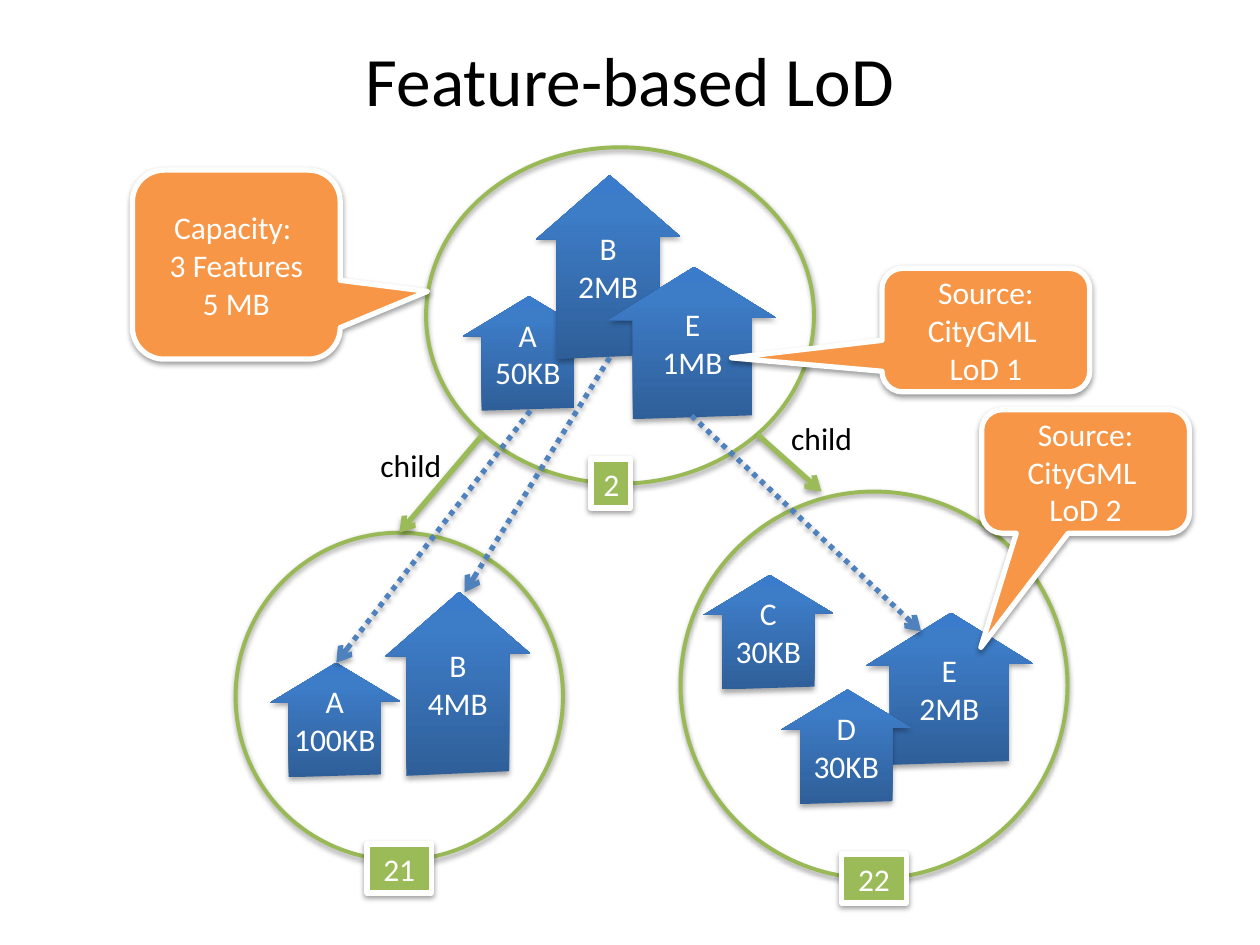
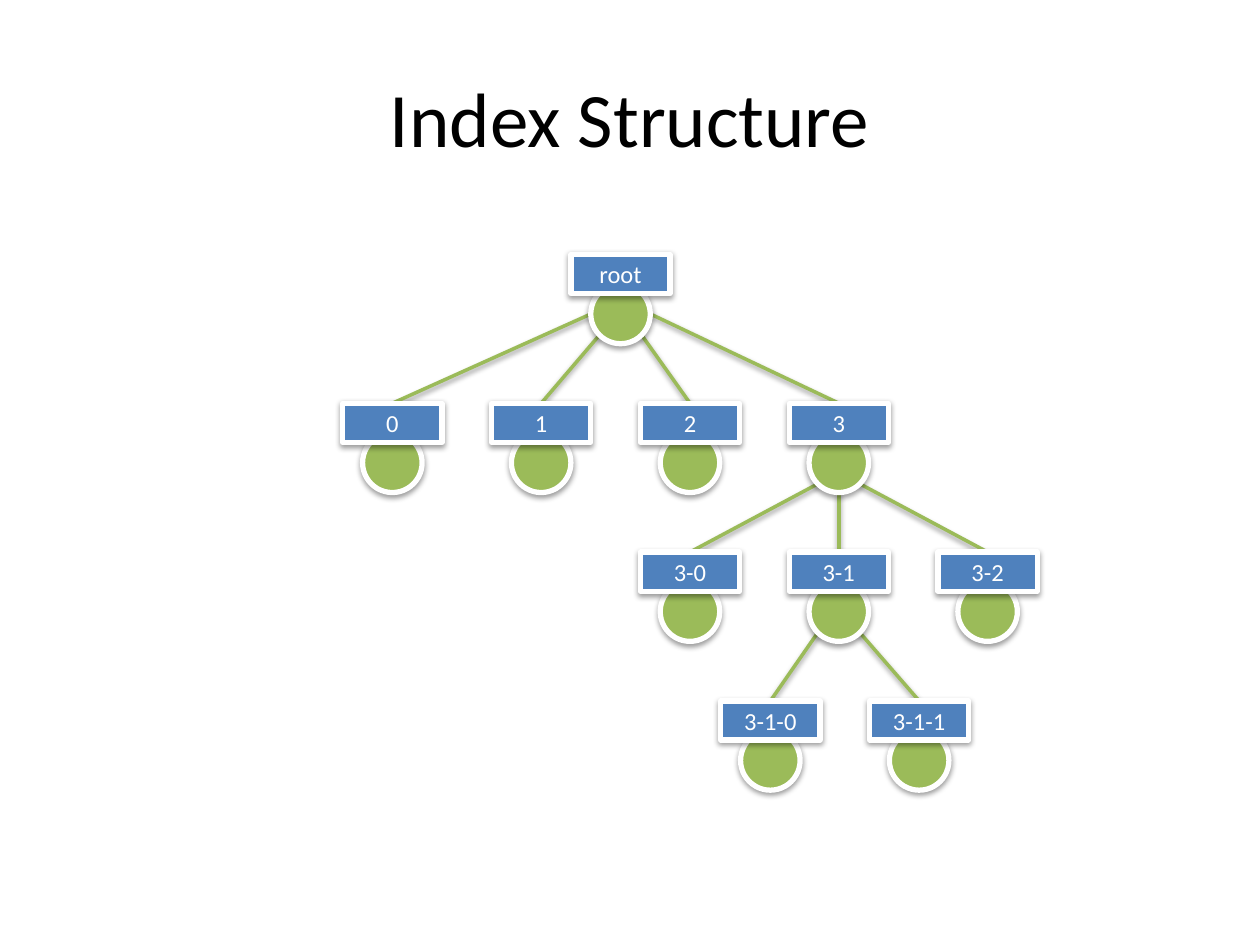
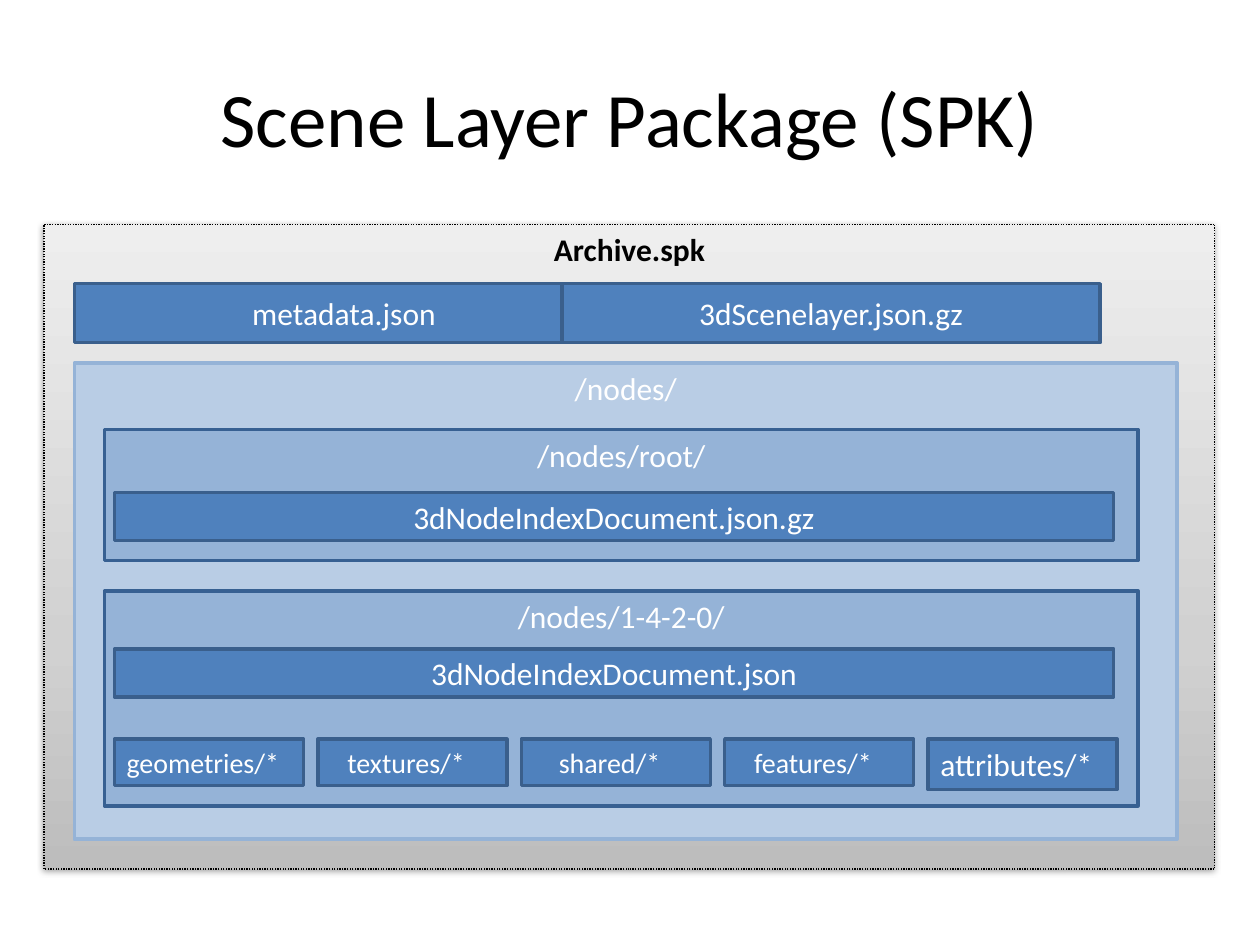
from dataclasses import dataclass
from math import cos, radians, sin

from lxml.etree import SubElement
from pptx import Presentation
from pptx.dml.color import RGBColor
from pptx.enum.dml import MSO_LINE
from pptx.enum.shapes import MSO_CONNECTOR, MSO_SHAPE as Preset
from pptx.enum.text import MSO_ANCHOR as Anchor, PP_ALIGN as Align
from pptx.oxml.ns import qn
from pptx.util import Cm, Pt


@dataclass(frozen=True)
class Theme:
    """Colours and type sizes shared by all slides."""
    font: str = "Calibri"
    black: str = "000000"
    white: str = "FFFFFF"
    blue: str = "4F81BD"
    blue_edge: str = "3A5F8C"
    folder: str = "95B3D7"
    folder_edge: str = "376092"
    nodes: str = "B9CDE5"
    green: str = "9BBB59"
    ring: str = "98B955"
    orange: str = "F79646"
    house: tuple = ((0, "2F5F99"), (80, "3D7CC7"), (100, "3A7CCB"))
    archive: tuple = ((0, "BDBDBD"), (35, "D1D1D1"), (100, "EEEEEE"))
    title: float = 44
    title_small: float = 39.6
    body: float = 18
    small: float = 16
    label: float = 14


@dataclass(frozen=True)
class Box:
    """A rectangle in centimetres."""
    left: float
    top: float
    width: float
    height: float

    def sub(self, x, y, width, height):
        """Return a box placed relative to this one's corner."""
        return Box(self.left + x, self.top + y, width, height)

    def point(self, x, y):
        """Return the point at the given fractions of this box."""
        return self.left + x * self.width, self.top + y * self.height

    def lengths(self):
        """Return left, top, width and height as lengths."""
        return Cm(self.left), Cm(self.top), Cm(self.width), Cm(self.height)


THEME = Theme()
TITLE_BOX = Box(1.27, 0.76, 22.86, 3.18)


def add_shadow(shape, alpha=38, distance=1.57):
    """Give a shape or connector a soft shadow straight below it."""
    properties = shape._element.spPr
    for effects in properties.findall(qn("a:effectLst")):
        properties.remove(effects)
    effects = SubElement(properties, qn("a:effectLst"))
    shadow = SubElement(effects, qn("a:outerShdw"), blurRad=str(Pt(3.15)),
                        dist=str(Pt(distance)), dir="5400000", rotWithShape="0")
    color = SubElement(shadow, qn("a:srgbClr"), val=THEME.black)
    SubElement(color, qn("a:alpha"), val=str(alpha * 1000))


def paint(shape, fill):
    """Fill a shape with nothing, a colour, or gradient stops from the bottom up."""
    if fill is None:
        shape.fill.background()
    elif isinstance(fill, str):
        shape.fill.solid()
        shape.fill.fore_color.rgb = RGBColor.from_string(fill)
    else:
        shape.fill.gradient()
        shape.fill.gradient_angle = 90
        stops = shape._element.spPr.find(qn("a:gradFill")).find(qn("a:gsLst"))
        for stop in list(stops):
            stops.remove(stop)
        for place, color in fill:
            stop = SubElement(stops, qn("a:gs"), pos=str(place * 1000))
            SubElement(stop, qn("a:srgbClr"), val=color)


def draw_line(line, color, width, dash=None):
    """Set the colour, width and dash of an outline or connector."""
    line.color.rgb = RGBColor.from_string(color)
    line.width = Pt(width)
    if dash:
        line.dash_style = dash


def write(shape, text, size=THEME.body, color=THEME.white, bold=False,
          anchor=Anchor.MIDDLE, align=Align.CENTER):
    """Put text into a shape; newlines part paragraphs, \\v breaks lines."""
    frame = shape.text_frame
    frame.text = text
    frame.word_wrap = True
    frame.vertical_anchor = anchor
    for para in frame.paragraphs:
        para.alignment = align
        para.font.name = THEME.font
        para.font.size = Pt(size)
        para.font.bold = bold
        para.font.color.rgb = RGBColor.from_string(color)
    return frame


def add_block(page, box, fill, edge, width, preset=Preset.RECTANGLE, dash=None, shadow=True):
    """Add a preset shape with fill, outline and optional shadow."""
    shape = page.shapes.add_shape(preset, *box.lengths())
    shape.shadow.inherit = False
    paint(shape, fill)
    draw_line(shape.line, edge, width, dash)
    if shadow:
        add_shadow(shape)
    return shape


def add_line(page, start, end, color, width, dash=None, arrow=False):
    """Add a straight connector between two points."""
    line = page.shapes.add_connector(
        MSO_CONNECTOR.STRAIGHT, *(Cm(value) for value in (*start, *end)))
    draw_line(line.line, color, width, dash)
    if arrow:
        SubElement(line._element.spPr.find(qn("a:ln")), qn("a:tailEnd"), type="arrow")
        add_shadow(line, 35, 1.81)
    else:
        add_shadow(line)


def add_title(page, text, size=THEME.title, anchor=Anchor.MIDDLE):
    """Add the slide title."""
    shape = page.shapes.add_textbox(*TITLE_BOX.lengths())
    frame = write(shape, text, size, THEME.black, anchor=anchor)
    if anchor == Anchor.TOP:
        frame.margin_top = 0


# Slide 1: features in a tree of nodes

ROOF = [(0.145, 1), (0.145, 0.35), (0, 0.35), (0.51, 0), (1, 0.335),
        (0.855, 0.335), (0.855, 0.975)]
SMALL, TALL, WIDE = (2.62, 2.31), (2.92, 3.71), (3.38, 3.07)


def add_house(page, box, text):
    """Draw a house outline with its name and data size."""
    start, *others = [tuple(Cm(value) for value in box.point(*corner)) for corner in ROOF]
    builder = page.shapes.build_freeform(*start)
    builder.add_line_segments(others, close=True)
    shape = builder.convert_to_shape()
    paint(shape, THEME.house)
    shape.line.fill.background()
    add_shadow(shape, 35, 1.81)
    write(shape, text)


def add_node(page, box, houses, tag, tag_width, shift=(0, 0)):
    """Draw a node's ring, its houses, and its tag on the lower edge."""
    add_block(page, box, None, THEME.ring, 2.25, Preset.OVAL)
    for x, y, size, text in houses:
        add_house(page, box.sub(x, y, *size), text)
    height = 0.99
    tag_box = box.sub((box.width - tag_width) / 2 + shift[0],
                      box.height - height / 2 + shift[1], tag_width, height)
    write(add_block(page, tag_box, THEME.green, THEME.white, 3), tag)


def add_callout(page, box, text, tip):
    """Draw an orange speech bubble pointing at the tip."""
    shape = add_block(page, box, THEME.orange, THEME.white, 3,
                      Preset.ROUNDED_RECTANGULAR_CALLOUT)
    shape.adjustments[0], shape.adjustments[1] = tip
    write(shape, text)


def build_features(page):
    """Build the slide on levels of detail by feature."""
    add_title(page, "Feature-based LoD", THEME.title_small, Anchor.TOP)
    add_node(page, Box(4.75, 10.74, 6.6, 6.6),
             [(0.69, 2.62, SMALL, "A\n100KB"), (3.02, 1.19, TALL, "B\n4MB")],
             "21", 1.3, (0, 0.17))
    add_node(page, Box(13.72, 9.91, 7.8, 7.8),
             [(3.73, 2.44, WIDE, "E\n2MB"), (0.46, 1.68, SMALL, "C\n30KB"),
              (2.03, 3.99, SMALL, "D\n30KB")], "22", 1.3)
    add_node(page, Box(8.59, 2.97, 7.82, 6.78),
             [(0.74, 3, SMALL, "A\n50KB"), (2.21, 0.56, TALL, "B\n2MB"),
              (3.68, 2.41, WIDE, "E\n1MB")], "2", 0.79, (-0.19, 0))

    children = [((9.73, 8.76), (8.05, 10.74), (7.42, 8.86)),
                ((15.27, 8.76), (16.56, 9.91), (15.7, 8.33))]
    for start, end, corner in children:
        add_line(page, start, end, THEME.green, 3, arrow=True)
        label = page.shapes.add_textbox(*Box(*corner, 1.75, 1.02).lengths())
        frame = write(label, "child", color=THEME.black, anchor=Anchor.TOP, align=Align.LEFT)
        frame.word_wrap = False

    refinements = [((13.94, 8.38), (18.57, 12.73)), ((12.29, 7.21), (9.37, 11.94)),
                   ((10.69, 8.28), (6.78, 13.36))]
    for start, end in refinements:
        add_line(page, start, end, THEME.blue, 3, MSO_LINE.ROUND_DOT, arrow=True)

    add_callout(page, Box(2.67, 3.43, 4.19, 3.81),
                "Capacity: \v3 Features\v5 MB", (0.92, 0.142))
    add_callout(page, Box(17.78, 5.41, 4.19, 2.49),
                "Source: CityGML \vLoD 1", (-1.224, 0.225))
    add_callout(page, Box(19.79, 8.26, 4.19, 2.49),
                "Source: CityGML \vLoD 2", (-0.504, 1.424))


# Slide 2: index tree

PITCH = 3
LEVELS = [(4.6, ["root"]), (0, ["0", "1", "2", "3"]),
          (6, ["3-0", "3-1", "3-2"]), (7.62, ["3-1-0", "3-1-1"])]
# parent, then each child with the angle at which its branch leaves the parent
BRANCHES = {"root": {"0": 180, "1": 135, "2": 45, "3": 0},
            "3": {"3-0": 135, "3-1": 90, "3-2": 45},
            "3-1": {"3-1-0": 135, "3-1-1": 45}}


def add_tree(page, box):
    """Draw the index tree: branches, then discs, then labels."""
    labels = {name: box.sub(offset + PITCH * column, PITCH * row, 2, 0.79)
              for row, (offset, names) in enumerate(LEVELS)
              for column, name in enumerate(names)}
    discs = {name: label.sub(0.4, 0.6, 1.2, 1.2) for name, label in labels.items()}
    for parent, children in BRANCHES.items():
        for child, angle in children.items():
            turn = radians(angle)
            start = discs[parent].point(0.5 + cos(turn) / 2, 0.5 + sin(turn) / 2)
            # the upper branches leave the sides, the rest the lower half
            add_line(page, start, labels[child].point(0.5, 0), THEME.green, 2)
    for disc in discs.values():
        add_block(page, disc, THEME.green, THEME.white, 3, Preset.OVAL)
    for name, label in labels.items():
        write(add_block(page, label, THEME.blue, THEME.white, 3), name, THEME.label)


def build_index(page):
    """Build the slide on the index structure."""
    add_title(page, "Index Structure")
    add_tree(page, Box(6.91, 5.13, 14, 10.8))


# Slide 3: package contents

def add_file(page, box, text, size=THEME.body):
    """Draw one file or subfolder bar."""
    shape = add_block(page, box, THEME.blue, THEME.blue_edge, 2, shadow=False)
    return write(shape, text, size)


def add_folder(page, box, text, fill, edge):
    """Draw a folder panel with its name at the top."""
    write(add_block(page, box, fill, edge, 2, shadow=False), text, anchor=Anchor.TOP)


def add_node_folder(page, box, name, document, document_top, parts=()):
    """Draw a node folder, its index document and its row of subfolders."""
    add_folder(page, box, name, THEME.folder, THEME.folder_edge)
    add_file(page, box.sub(0.2, document_top, 20.14, 0.97), document)
    for column, (text, size, height) in enumerate(parts):
        part = box.sub(0.2 + 4.1 * column, 2.99, 3.81, height)
        add_file(page, part, text, size).margin_left = 0


def add_archive(page, box):
    """Draw the archive and everything in it."""
    shape = add_block(page, box, THEME.archive, THEME.black, 0.75, dash=MSO_LINE.ROUND_DOT)
    write(shape, "Archive.spk", color=THEME.black, bold=True, anchor=Anchor.TOP)
    add_file(page, box.sub(0.61, 1.2, 10.87, 1.19), "metadata.json")
    add_file(page, box.sub(10.44, 1.2, 10.85, 1.19), "3dScenelayer.json.gz")
    nodes = box.sub(0.61, 2.8, 22.23, 9.6)
    add_folder(page, nodes, "/nodes/", THEME.nodes, THEME.folder)
    add_node_folder(page, nodes.sub(0.61, 1.34, 20.83, 2.64), "/nodes/root/",
                    "3dNodeIndexDocument.json.gz", 1.27)
    parts = [(text, THEME.small, 0.94)
             for text in ("geometries/*", "textures/*", "shared/*", "features/*")]
    parts.append(("attributes/*", THEME.body, 1.02))
    add_node_folder(page, nodes.sub(0.61, 4.59, 20.83, 4.34), "/nodes/1-4-2-0/",
                    "3dNodeIndexDocument.json", 1.17, parts)


def build_package(page):
    """Build the slide on the scene layer package."""
    add_title(page, "Scene Layer Package (SPK)")
    add_archive(page, Box(0.89, 4.52, 23.6, 13))


deck = Presentation()
deck.slide_width, deck.slide_height = Cm(25.4), Cm(19.05)
for build in (build_features, build_index, build_package):
    build(deck.slides.add_slide(deck.slide_layouts[6]))
deck.save("out.pptx")
